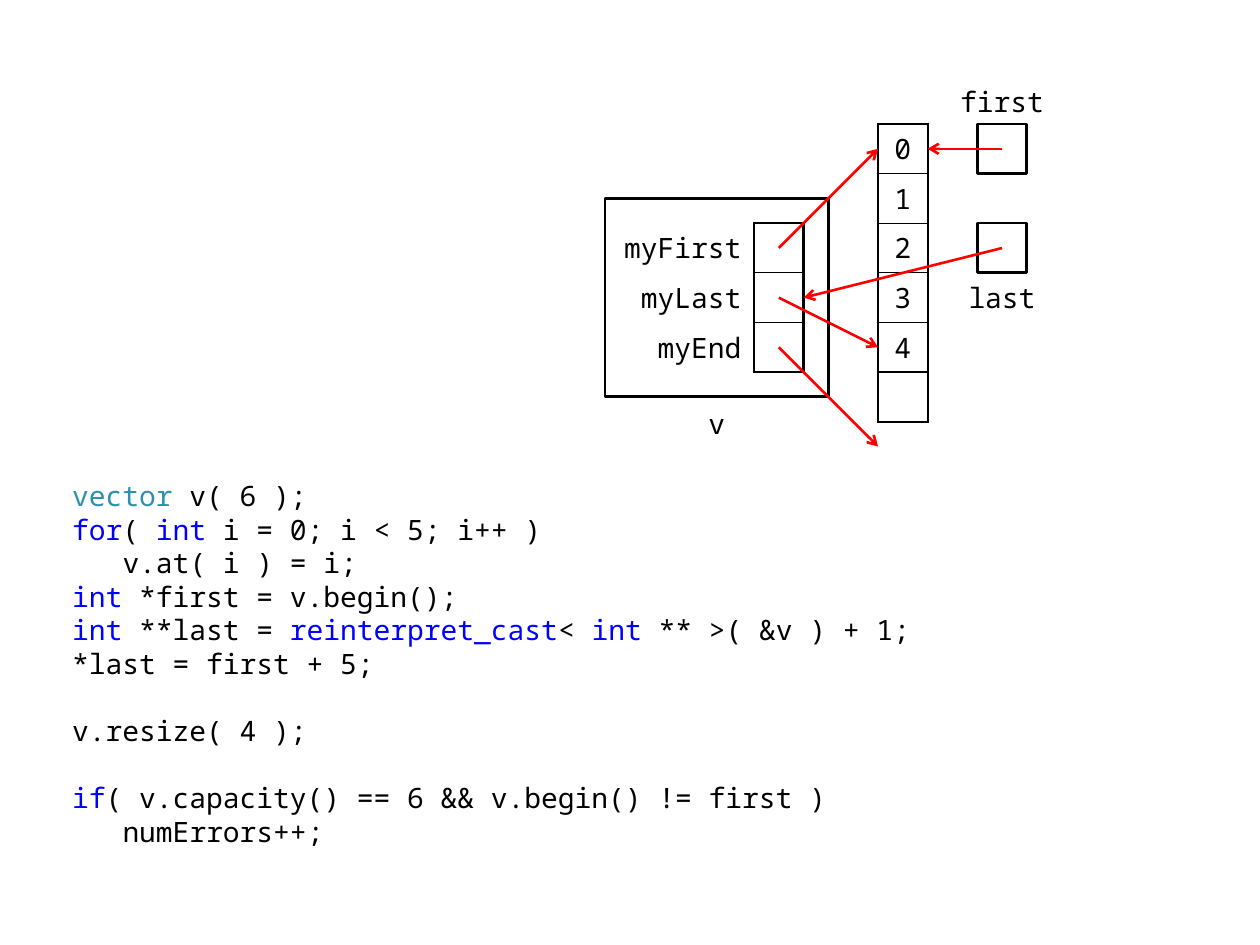
"""Build a slide showing a vector's pointers into its array above the code that sets them."""
from lxml import etree
from pptx import Presentation
from pptx.dml.color import RGBColor
from pptx.enum.shapes import MSO_CONNECTOR, MSO_SHAPE
from pptx.enum.text import MSO_ANCHOR, MSO_AUTO_SIZE, PP_ALIGN
from pptx.oxml.ns import qn
from pptx.util import Inches, Pt

RECTANGLE, STRAIGHT = MSO_SHAPE.RECTANGLE, MSO_CONNECTOR.STRAIGHT
TOP, MIDDLE, BOTTOM = MSO_ANCHOR.TOP, MSO_ANCHOR.MIDDLE, MSO_ANCHOR.BOTTOM
LEFT, CENTER, RIGHT = PP_ALIGN.LEFT, PP_ALIGN.CENTER, PP_ALIGN.RIGHT
NO_AUTOFIT = MSO_AUTO_SIZE.NONE

PX = 7200
CELL = 50
FONT, SIZE = "Noto Sans Mono", Pt(16)
LINE_HEIGHT, CODE_INDENT = Pt(19.2), Pt(28.8)
THICK, THIN = Pt(1.5), Pt(0.75)
PLAIN_TABLE = "{2D5ABB26-0587-4C30-8999-92F81FD0307C}"
COLORS = {"text": "000000", "keyword": "0000FF", "type": "2B91AF",
          "arrow": "FF0000", "paper": "FFFFFF"}

CODE = [
    {"runs": [("vector ", "type"), ("v( 6 );", "text")]},
    {"runs": [("for", "keyword"), ("( ", "text"), ("int", "keyword"),
              (" i = 0; i < 5; i++ )", "text")]},
    {"runs": [("v.at( i ) = i;", "text")], "indent": True},
    {"runs": [("int ", "keyword"), ("*first = v.begin();", "text")]},
    {"runs": [("int ", "keyword"), ("**last = ", "text"),
              ("reinterpret_cast", "keyword"), ("< ", "text"),
              ("int", "keyword"), (" ** >( &v ) + 1;", "text")]},
    {"runs": [("*last = first + 5;", "text")]},
    {"runs": [("v.resize( 4 );", "text")], "gap": True},
    {"runs": [("if", "keyword"),
              ("( v.capacity() == 6 && v.begin() != first )", "text")], "gap": True},
    {"runs": [("numErrors++;", "text")], "indent": True},
]
MEMBERS = [["myFirst", ""], ["myLast", ""], ["myEnd", ""]]
ELEMENTS = [["0"], ["1"], ["2"], ["3"], ["4"], [""]]

CODE_BOX = (60, 476, 875, 400)
VECTOR_BOX = (610, 200, 225, 200)
MEMBERS_AT, MEMBER_COLUMNS = (610, 225), (150, CELL)
ELEMENTS_AT, ELEMENT_COLUMNS = (885, 125), (CELL,)
POINTER_BOXES = [(985, 125, CELL, CELL), (985, 225, CELL, CELL)]
LABELS = [("v", (635, 400, 175, CELL), BOTTOM),
          ("first", (935, 75, 150, CELL), BOTTOM),
          ("last", (960, 275, 100, CELL), MIDDLE)]
ARROWS = [((785, 250), (885, 150)), ((785, 350), (885, 450)),
          ((785, 300), (885, 350)), ((1010, 150), (935, 150)),
          ((1010, 250), (810, 300))]


def px(values):
    return [value * PX for value in values]


def rgb(name):
    return RGBColor.from_string(COLORS[name])


def style_run(run, color="text"):
    run.font.name, run.font.size = FONT, SIZE
    run.font.color.rgb = rgb(color)


def add_code(slide):
    slide.shapes.title.element.getparent().remove(slide.shapes.title.element)
    body = slide.placeholders[1]
    body.left, body.top, body.width, body.height = px(CODE_BOX)
    frame = body.text_frame
    frame.word_wrap, frame.auto_size = False, NO_AUTOFIT
    frame.vertical_anchor = TOP
    for index, line in enumerate(CODE):
        paragraph = frame.add_paragraph() if index else frame.paragraphs[0]
        paragraph.alignment = LEFT
        paragraph.line_spacing = LINE_HEIGHT
        paragraph.space_before = LINE_HEIGHT if line.get("gap") else Pt(0)
        paragraph.space_after = Pt(0)
        properties = paragraph._p.get_or_add_pPr()
        properties.set("marL", str(CODE_INDENT if line.get("indent") else 0))
        properties.set("indent", "0")
        etree.SubElement(properties, qn("a:buNone"))
        for text, color in line["runs"]:
            run = paragraph.add_run()
            run.text = text
            style_run(run, color)


def add_box(slide, box, filled=False):
    rectangle = slide.shapes.add_shape(RECTANGLE, *px(box))
    rectangle.shadow.inherit = False
    if filled:
        rectangle.fill.solid()
        rectangle.fill.fore_color.rgb = rgb("paper")
    else:
        rectangle.fill.background()
    rectangle.line.color.rgb = rgb("text")
    rectangle.line.width = THICK


def add_label(slide, text, box, anchor):
    label = slide.shapes.add_textbox(*px(box))
    frame = label.text_frame
    frame.word_wrap, frame.vertical_anchor = True, anchor
    if anchor == MIDDLE:
        frame.margin_left = frame.margin_right = 0
    frame.text = text
    frame.paragraphs[0].alignment = CENTER
    style_run(frame.paragraphs[0].runs[0])


def add_borders(cell, top, bottom):
    properties = cell._tc.get_or_add_tcPr()
    for side, width in (("L", THICK), ("R", THICK), ("T", top), ("B", bottom)):
        border = etree.SubElement(properties, qn(f"a:ln{side}"), w=str(width))
        fill = etree.SubElement(border, qn("a:solidFill"))
        etree.SubElement(fill, qn("a:srgbClr"), val=COLORS["text"])


def add_memory(slide, rows, at, columns, align, margin):
    size = (sum(columns), CELL * len(rows))
    frame = slide.shapes.add_table(len(rows), len(columns), *px(at + size))
    table = frame.table
    table.first_row = table.horz_banding = False
    table._tbl.tblPr.find(qn("a:tableStyleId")).text = PLAIN_TABLE
    for column, width in zip(table.columns, columns):
        column.width = width * PX
    last_row, last_column = len(rows) - 1, len(columns) - 1
    for r, row in enumerate(rows):
        table.rows[r].height = CELL * PX
        for c, text in enumerate(row):
            cell = table.cell(r, c)
            cell.vertical_anchor = MIDDLE
            cell.margin_top = cell.margin_bottom = margin
            if c == last_column:
                add_borders(cell, THIN if r else THICK,
                            THIN if r < last_row else THICK)
            cell.fill.background()
            if text:
                cell.text = text
                cell.text_frame.paragraphs[0].alignment = align
                style_run(cell.text_frame.paragraphs[0].runs[0])
            else:
                cell.margin_top = cell.margin_bottom = 0


def add_arrow(slide, start, end):
    arrow = slide.shapes.add_connector(STRAIGHT, *px(start + end))
    arrow.line.color.rgb = rgb("arrow")
    arrow.line.width = THICK
    etree.SubElement(arrow.line._get_or_add_ln(), qn("a:tailEnd"), type="arrow")
    etree.SubElement(arrow._element.spPr, qn("a:effectLst"))


def main():
    presentation = Presentation()
    presentation.slide_width, presentation.slide_height = Inches(10), Inches(7.5)
    slide = presentation.slides.add_slide(presentation.slide_layouts[1])
    add_code(slide)
    add_box(slide, VECTOR_BOX, filled=True)
    add_memory(slide, MEMBERS, MEMBERS_AT, MEMBER_COLUMNS, RIGHT, Inches(0.04))
    add_memory(slide, ELEMENTS, ELEMENTS_AT, ELEMENT_COLUMNS, CENTER, 0)
    for box in POINTER_BOXES:
        add_box(slide, box)
    for text, box, anchor in LABELS:
        add_label(slide, text, box, anchor)
    for start, end in ARROWS:
        add_arrow(slide, start, end)
    presentation.save("out.pptx")


if __name__ == "__main__":
    main()
